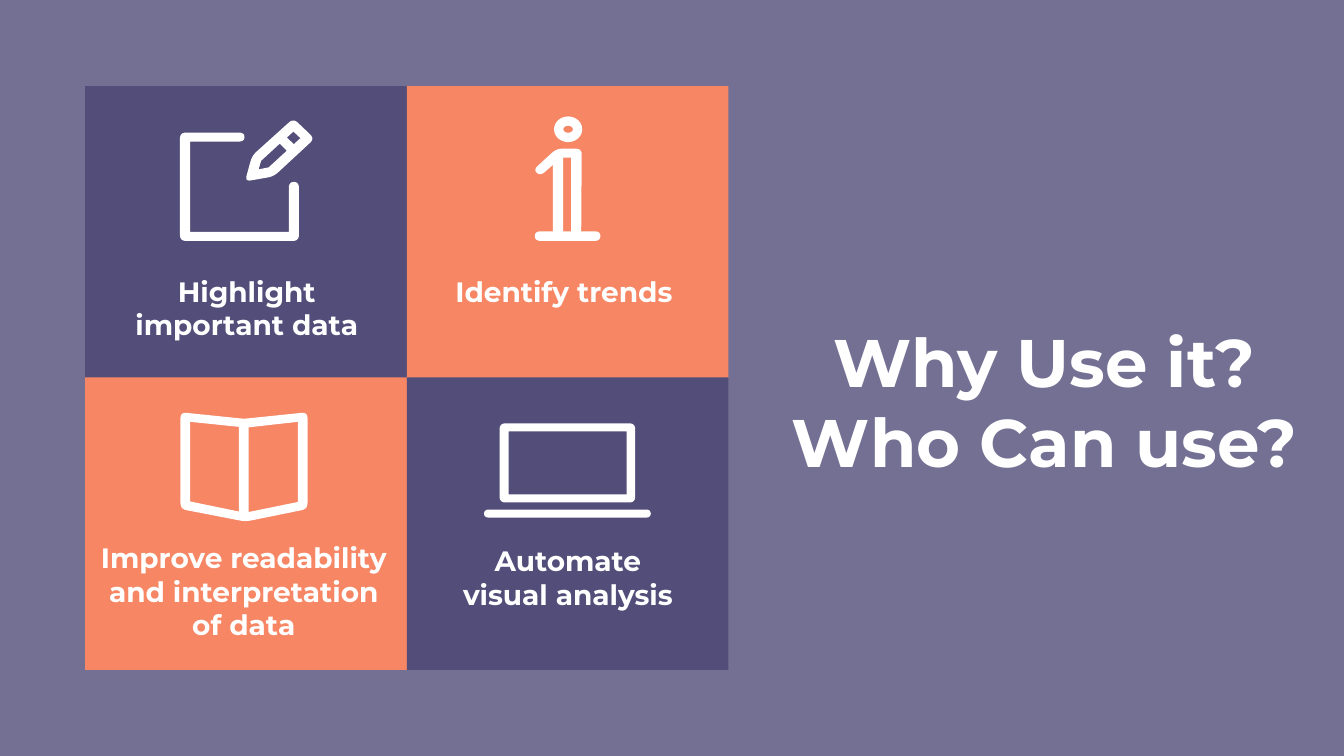
from math import dist

from lxml.etree import SubElement
from pptx import Presentation
from pptx.dml.color import RGBColor
from pptx.enum.shapes import MSO_SHAPE
from pptx.enum.text import MSO_ANCHOR, MSO_AUTO_SIZE, PP_ALIGN
from pptx.oxml.ns import qn
from pptx.util import Inches, Pt

PURPLE, ORANGE, WHITE = "524D79", "F68664", "FFFFFF"
FONT = "Montserrat"
SLIDE_WIDTH, SLIDE_HEIGHT = 26.66, 15
GRID_LEFT, GRID_TOP = 1.69, 1.71
TILE_WIDTH, TILE_HEIGHT = 6.38, 5.8
ROW_STEP = 5.78


def color(hex_string):
    return RGBColor.from_string(hex_string)


def paint(shape, fill):
    shape.shadow.inherit = False
    shape.fill.solid()
    shape.fill.fore_color.rgb = color(fill)
    shape.line.fill.background()
    return shape


def add_block(slide, kind, left, top, width, height, fill):
    box = [Inches(value) for value in (left, top, width, height)]
    return paint(slide.shapes.add_shape(kind, *box), fill)


def write_lines(frame, lines, size):
    """Centred bold white lines, one paragraph each."""
    frame.word_wrap = True
    frame.auto_size = MSO_AUTO_SIZE.NONE
    frame.vertical_anchor = MSO_ANCHOR.TOP
    for index, line in enumerate(lines):
        paragraph = frame.add_paragraph() if index else frame.paragraphs[0]
        paragraph.alignment = PP_ALIGN.CENTER
        run = paragraph.add_run()
        run.text = line
        run.font.name, run.font.size, run.font.bold = FONT, Pt(size), True
        run.font.color.rgb = color(WHITE)


def rounded(corners, radius, steps=6):
    """Round each corner (x, y[, own radius]) with a quadratic curve."""
    points = []
    for index, (x, y, *own) in enumerate(corners):
        limit = own[0] if own else radius
        if not limit:
            points.append((x, y))
            continue
        ends = []
        for other in (corners[index - 1], corners[(index + 1) % len(corners)]):
            length = dist((x, y), other[:2])
            share = min(limit, length / 2) / length
            ends.append((x + (other[0] - x) * share, y + (other[1] - y) * share))
        (x1, y1), (x2, y2) = ends
        for step in range(steps + 1):
            t = step / steps
            a, b, c = (1 - t) ** 2, 2 * t * (1 - t), t ** 2
            points.append((a * x1 + b * x + c * x2, a * y1 + b * y + c * y2))
    return points


def add_outline(slide, left, top, outer, holes=(), radius=0.12):
    """White outline with rounded outer corners and sharp holes."""
    builder = None
    for contour in [rounded(outer, radius), *holes]:
        points = [(Inches(left + x), Inches(top + y)) for x, y in contour]
        if builder is None:
            builder = slide.shapes.build_freeform(*points[0], scale=1.0)
        else:
            builder.move_to(*points[0])
        builder.add_line_segments(points[1:], close=True)
    return paint(builder.convert_to_shape(), WHITE)


def rectangle(left, top, right, bottom):
    return [(left, top), (right, top), (right, bottom), (left, bottom)]


# Icons, placed from the top left corner of their tile
def draw_note(slide, left, top):
    frame = [(2.16, 0.98), (2.16, 1.97, 0), (0.2, 1.97, 0), (0.2, 0.18, 0), (1.28, 0.18),
             (1.28, 0), (0, 0), (0, 2.15), (2.36, 2.15), (2.36, 0.98)]
    add_outline(slide, left + 1.88, top + 0.92, frame)
    pencil = [(0.93, -0.04), (1.35, 0.36), (0.54, 1.11), (-0.03, 1.21), (0.11, 0.7)]
    end = [(0.94, 0.47), (0.8, 0.34), (0.93, 0.22), (1.07, 0.35)]
    barrel = [(0.44, 0.93), (0.24, 0.97), (0.29, 0.8), (0.66, 0.46), (0.8, 0.6)]
    add_outline(slide, left + 3.2, top + 0.68, pencil, [end, barrel])


def draw_information(slide, left, top):
    body = [(0.43, 0), (0.93, 0), (0.92, 1.64, 0), (1.3, 1.64), (1.3, 1.83), (0, 1.83),
            (0, 1.64), (0.36, 1.64, 0), (0.36, 0.32, 0), (0.11, 0.54), (-0.03, 0.42)]
    add_outline(slide, left + 2.54, top + 1.24, body, [rectangle(0.56, 0.18, 0.72, 1.64)])
    dot = add_block(slide, MSO_SHAPE.DONUT, left + 2.92, top + 0.6, 0.56, 0.51, WHITE)
    dot.adjustments[0] = 0.36


def draw_book(slide, left, top):
    cover = [(0, -0.01), (1.26, 0.12, 0.05), (2.52, -0.01), (2.52, 1.91),
             (1.29, 2.16), (0, 1.91)]
    left_page = [(0.19, 0.18), (1.16, 0.28), (1.16, 1.96), (0.19, 1.76)]
    right_page = [(1.35, 0.29), (2.33, 0.18), (2.33, 1.77), (1.35, 1.97)]
    add_outline(slide, left + 1.89, top + 0.7, cover, [left_page, right_page])


def draw_laptop(slide, left, top):
    add_outline(slide, left + 1.84, top + 0.91, rectangle(0, 0, 2.69, 1.57),
                [rectangle(0.18, 0.16, 2.52, 1.41)])
    base = add_block(slide, MSO_SHAPE.ROUNDED_RECTANGLE,
                     left + 1.53, top + 2.62, 3.31, 0.16, WHITE)
    base.adjustments[0] = 0.5


def add_tile(slide, left, top, fill, draw_icon, label, label_box):
    add_block(slide, MSO_SHAPE.RECTANGLE, left, top, TILE_WIDTH, TILE_HEIGHT, fill)
    draw_icon(slide, left, top)
    x, y, width, height = label_box
    text_box = slide.shapes.add_textbox(Inches(left + x), Inches(top + y),
                                        Inches(width), Inches(height))
    write_lines(text_box.text_frame, [label], 40)


def add_tile_grid(slide, left, top):
    # Fill, icon, label and label box within the tile, row by row
    tiles = [
        (PURPLE, draw_note, "Highlight important data", (0.82, 3.68, 4.77, 1.45)),
        (ORANGE, draw_information, "Identify trends ", (0.81, 3.68, 4.77, 0.77)),
        (ORANGE, draw_book, "Improve readability and interpretation of data",
         (0.15, 3.19, 5.99, 2.13)),
        (PURPLE, draw_laptop, "Automate visual analysis", (0.81, 3.25, 4.77, 1.45)),
    ]
    for index, tile in enumerate(tiles):
        row, column = divmod(index, 2)
        add_tile(slide, left + column * TILE_WIDTH, top + row * ROW_STEP, *tile)


def add_title(slide, left, top, width, height):
    title = slide.shapes.title
    title.left, title.top = Inches(left), Inches(top)
    title.width, title.height = Inches(width), Inches(height)
    write_lines(title.text_frame, ["Why Use it?", "Who Can use?"], 96)


def add_background(slide):
    background = add_block(slide, MSO_SHAPE.RECTANGLE, 0, 0,
                           SLIDE_WIDTH, SLIDE_HEIGHT, PURPLE)
    # 80 % opaque, behind the title
    fill_color = next(background.element.spPr.iter(qn("a:srgbClr")))
    SubElement(fill_color, qn("a:alpha")).set("val", "80000")
    slide.shapes.title.element.addprevious(background.element)


def main():
    presentation = Presentation()
    presentation.slide_width = Inches(SLIDE_WIDTH)
    presentation.slide_height = Inches(SLIDE_HEIGHT)
    slide = presentation.slides.add_slide(presentation.slide_layouts[5])
    add_background(slide)
    add_title(slide, 15.51, 6.3, 10.41, 3.33)
    add_tile_grid(slide, GRID_LEFT, GRID_TOP)
    presentation.save("out.pptx")


if __name__ == "__main__":
    main()
